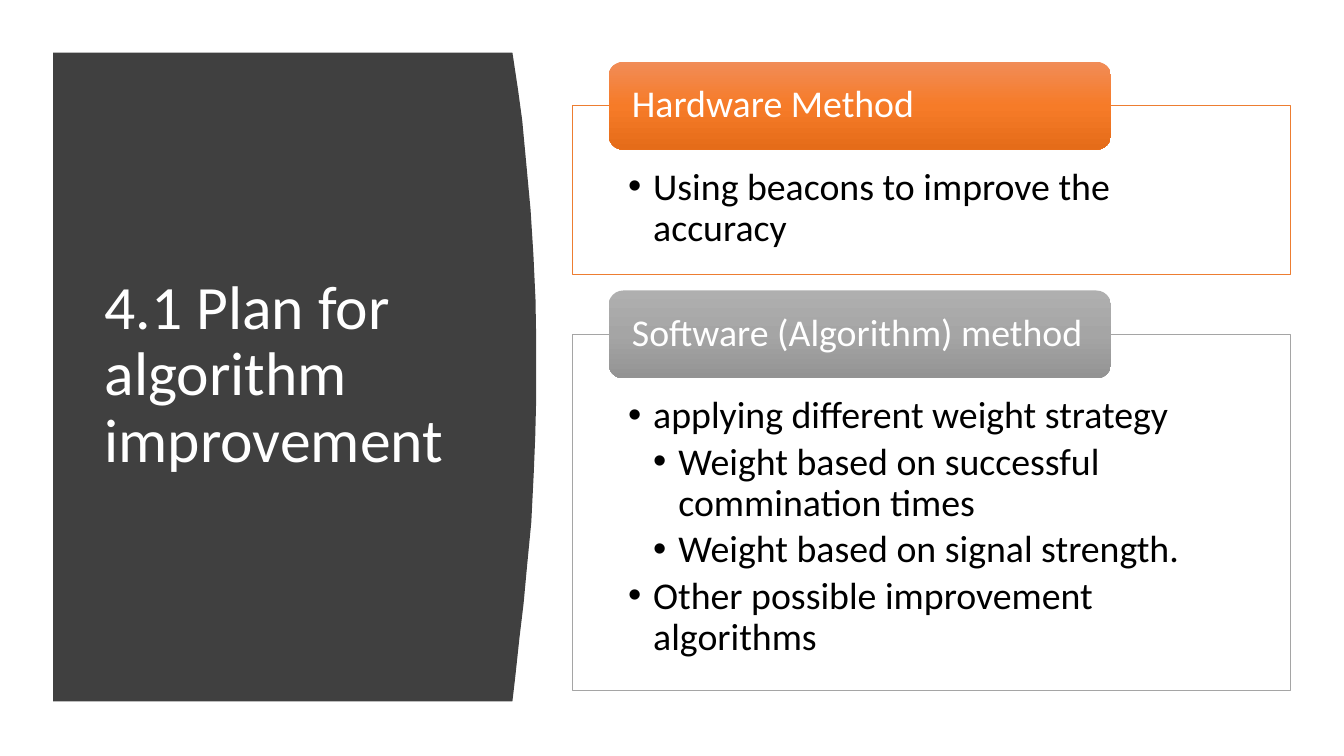
from copy import deepcopy
from lxml.etree import SubElement
from pptx import Presentation
from pptx.dml.color import RGBColor
from pptx.enum.shapes import MSO_SHAPE
from pptx.enum.text import MSO_ANCHOR, PP_ALIGN
from pptx.oxml.ns import qn
from pptx.util import Pt

EDGE = [(366, 37.5), (370, 64), (373, 86), (376, 118), (379, 150), (381, 182),
        (382.5, 214), (383, 244), (383, 284), (382.3, 312), (381.2, 339),
        (379.5, 373), (376.5, 404), (374, 431), (371, 456), (368, 484), (366, 501)]
CARDS = [
    (75.6, 120.4, "ED7D31", ("F18C57", "F67B28", "E56C19"), "Hardware Method",
     [(0, "Using beacons to improve the accuracy")]),
    (239, 254.2, "A5A5A5", ("AFAFAF", "A5A5A5", "939393"),
     "Software (Algorithm) method",
     [(0, "applying different weight strategy"),
      (1, "Weight based on successful commination times"),
      (1, "Weight based on signal strength."),
      (0, "Other possible improvement algorithms")]),
]


def tint(hue):
    """Turn a hex string into a colour."""
    return RGBColor.from_string(hue)


def style(par, text, size, hue):
    """Write one left-aligned paragraph."""
    par.text = text
    par.alignment = PP_ALIGN.LEFT
    par.line_spacing = 0.9
    par.font.size, par.font.name = Pt(size), "Calibri"
    par.font.color.rgb = tint(hue)


def setup(frame, anchor, left, top, right, bottom):
    """Wrap a text frame and set its anchor and insets."""
    frame.word_wrap = True
    frame.vertical_anchor = anchor
    frame.margin_left, frame.margin_top = Pt(left), Pt(top)
    frame.margin_right, frame.margin_bottom = Pt(right), Pt(bottom)


def bullet(par, level):
    """Give a paragraph a hanging bullet at its level."""
    par.level = level
    par.space_after = Pt(4)
    props = par._p.get_or_add_pPr()
    props.set("marL", str(Pt(18 * (level + 1))))
    props.set("indent", str(Pt(-18)))
    SubElement(props, qn("a:buFont")).set("typeface", "Arial")
    SubElement(props, qn("a:buChar")).set("char", "•")


def shade(fill, hues):
    """Fill from top to bottom through three colours."""
    fill.gradient()
    fill.gradient_angle = 270
    stops = fill.gradient_stops
    last = stops[1]._gs
    last.addprevious(deepcopy(last))
    for stop, hue, spot in zip(fill.gradient_stops, hues, (0, 0.5, 1)):
        stop.color.rgb = tint(hue)
        stop.position = spot


def banner(slide, left, top, width, height):
    """Draw the dark curved panel with the slide title."""
    pen = slide.shapes.build_freeform(Pt(left), Pt(top))
    pen.add_line_segments([(Pt(x), Pt(y)) for x, y in EDGE]
                          + [(Pt(left), Pt(top + height))])
    panel = pen.convert_to_shape()
    panel.shadow.inherit = False
    panel.fill.solid()
    panel.fill.fore_color.rgb = tint("404040")
    panel.line.fill.background()
    box = slide.shapes.add_textbox(Pt(left + 29.7), Pt(top + 42.5),
                                   Pt(width - 75.5), Pt(height - 86.5))
    setup(box.text_frame, MSO_ANCHOR.MIDDLE, 7.2, 3.6, 7.2, 3.6)
    style(box.text_frame.paragraphs[0],
          "4.1 Plan for algorithm improvement", 44, "FFFFFF")


def card(slide, left, top, width, height, rim, hues, head, items):
    """Draw an outlined list with a heading tab over its top edge."""
    body = slide.shapes.add_shape(MSO_SHAPE.RECTANGLE, Pt(left), Pt(top),
                                  Pt(width), Pt(height))
    body.shadow.inherit = False
    body.fill.solid()
    body.fill.fore_color.rgb = tint("FFFFFF")
    white = body._element.spPr.find(qn("a:solidFill"))[0]
    SubElement(white, qn("a:alpha")).set("val", "90000")
    body.line.color.rgb = tint(rim)
    body.line.width = Pt(0.5)
    frame = body.text_frame
    setup(frame, MSO_ANCHOR.TOP, 39.6, 44, 39.6, 15)
    for spot, (level, text) in enumerate(items):
        par = frame.add_paragraph() if spot else frame.paragraphs[0]
        style(par, text, 27, "000000")
        bullet(par, level)

    tab = slide.shapes.add_shape(MSO_SHAPE.ROUNDED_RECTANGLE, Pt(left + 25.7),
                                 Pt(top - 31.5), Pt(width * 0.7), Pt(62.8))
    tab.shadow.inherit = False
    shade(tab.fill, hues)
    tab.line.fill.background()
    setup(tab.text_frame, MSO_ANCHOR.MIDDLE, 13.6, 0, 13.6, 0)
    style(tab.text_frame.paragraphs[0], head, 27, "FFFFFF")


def main():
    """Build the slide and save it."""
    deck = Presentation()
    deck.slide_width, deck.slide_height = Pt(960), Pt(540)
    slide = deck.slides.add_slide(deck.slide_layouts[6])
    banner(slide, 38, 37.5, 345, 463.5)
    for top, height, *rest in CARDS:
        card(slide, 409, top, 512.8, height, *rest)
    deck.save("out.pptx")


if __name__ == "__main__":
    main()
